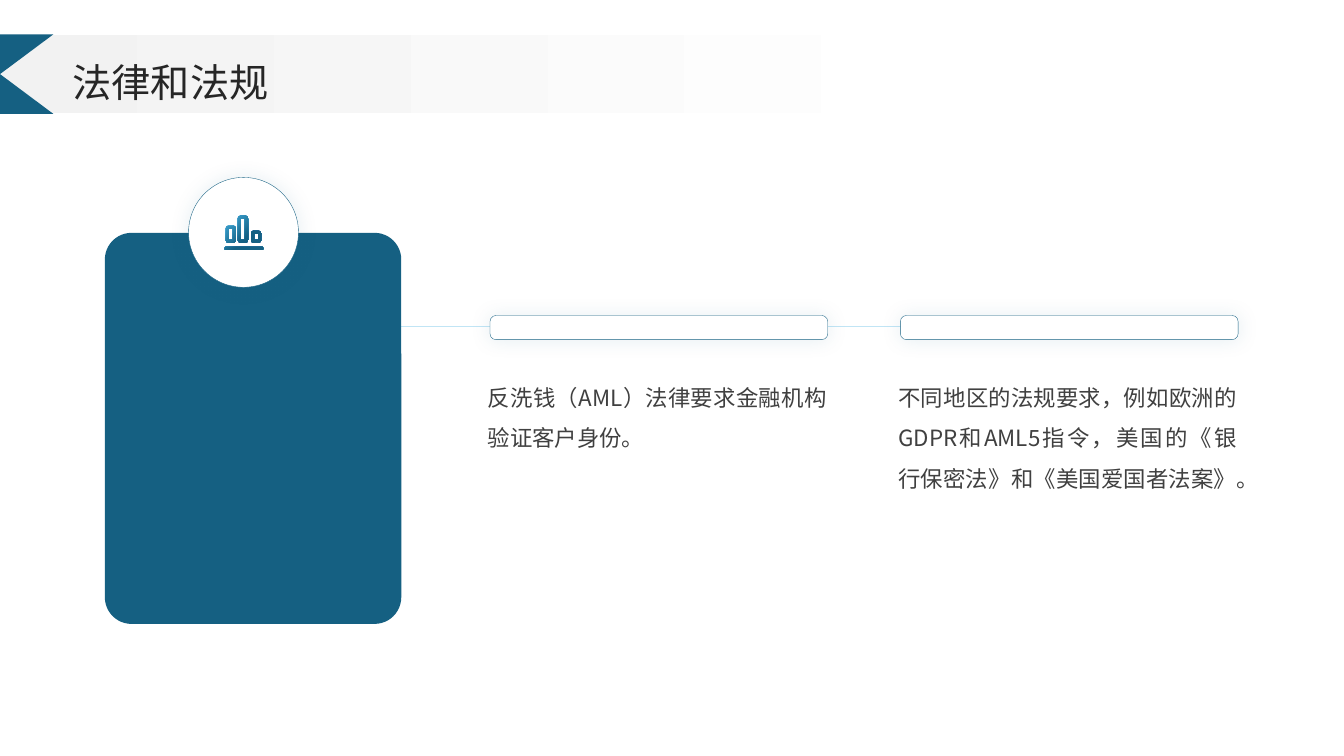
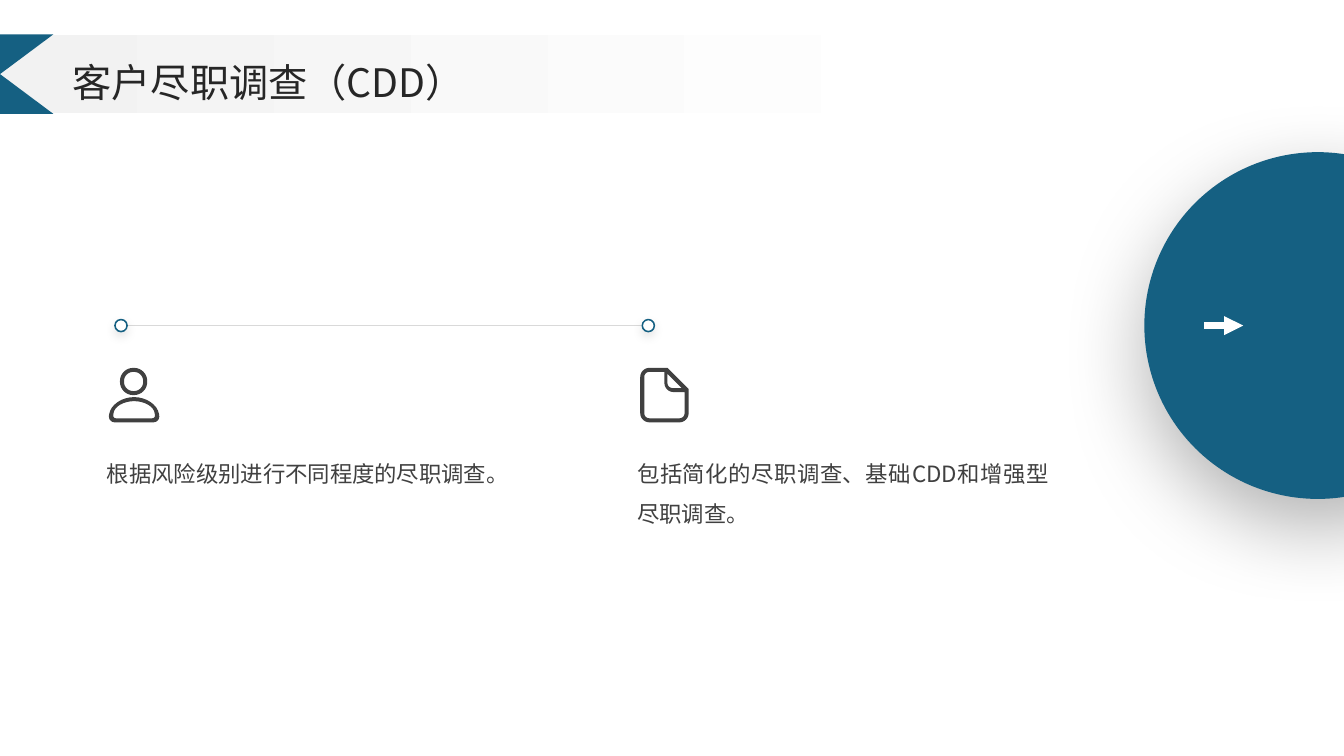
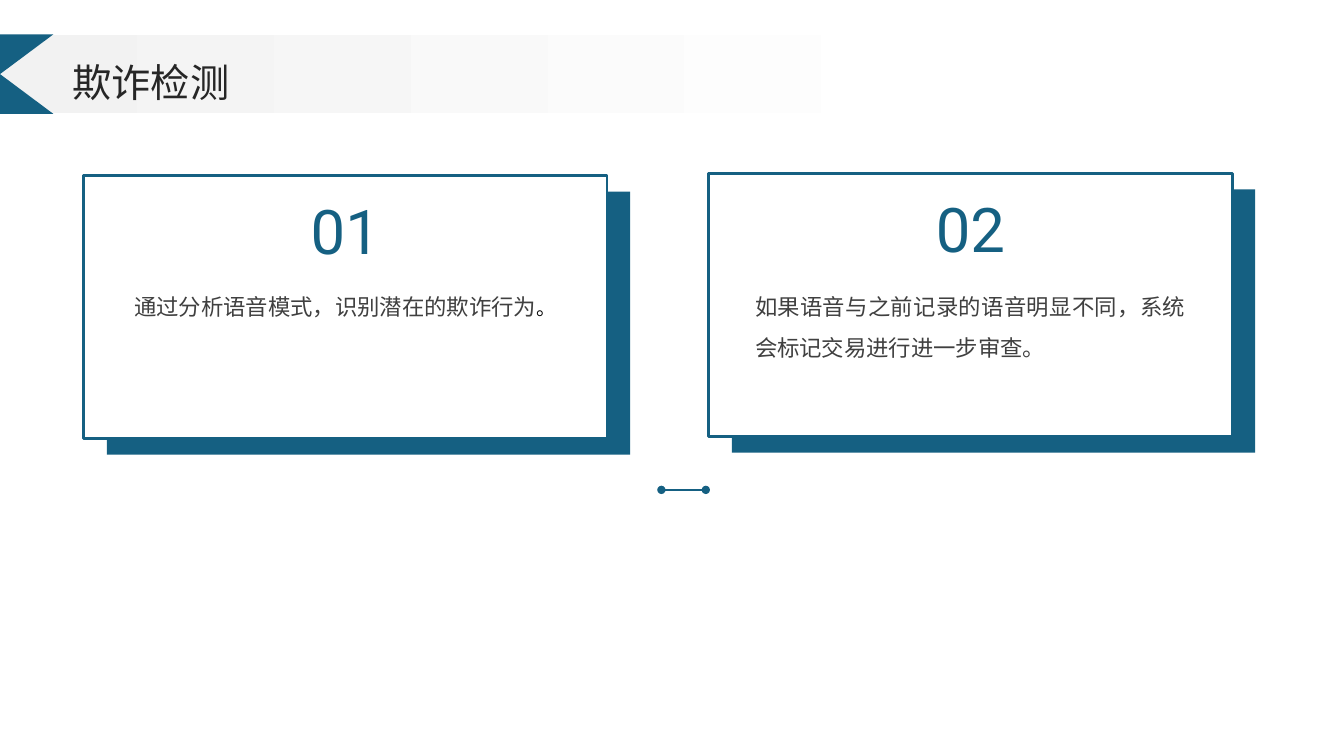
from dataclasses import dataclass
from typing import Any, NamedTuple, Optional

from lxml.etree import SubElement as Sub
from pptx import Presentation
from pptx.dml.color import RGBColor as Rgb
from pptx.enum.shapes import MSO_CONNECTOR as Link
from pptx.enum.shapes import MSO_SHAPE as Kind
from pptx.enum.text import MSO_ANCHOR as Anchor
from pptx.enum.text import PP_ALIGN as Align
from pptx.oxml.ns import qn
from pptx.slide import Slide
from pptx.util import Inches, Pt


@dataclass(frozen=True)
class Theme:
    blue: str = "156082"
    sky: str = "46B1E1"
    pale: str = "C1E5F5"
    white: str = "FFFFFF"
    black: str = "000000"
    mist: str = "F2F2F2"
    rule: str = "D9D9D9"
    ink: str = "262626"
    body: str = "404040"
    sans: str = "Noto Sans CJK SC"
    digit: str = "Roboto"
    head_size: int = 28
    mark_size: int = 44
    text_size: int = 16
    stop_size: int = 14


T = Theme()


class Box(NamedTuple):
    x: float
    y: float
    w: float
    h: float


class Shade(NamedTuple):
    color: str
    alpha: int
    blur: int
    dist: int
    angle: int


class Fade(NamedTuple):
    start: str
    end: str
    stop: float
    angle: int


class Edge(NamedTuple):
    color: str
    width: float


class Span(NamedTuple):
    text: str
    size: int = T.text_size
    color: str = T.body
    font: str = T.sans


class Corner(NamedTuple):
    x: float
    y: float
    back: float = 0
    ahead: Optional[float] = None


@dataclass(frozen=True)
class Column:
    x: float
    text: str
    width: float = 3.36


@dataclass(frozen=True)
class Card:
    x: float
    y: float
    mark: str
    spans: tuple[Span, ...]
    align: Align


GLOW = Shade(T.blue, 10, 15, 0, 0)
DEEP = Shade(T.black, 30, 60, 20, 90)
SOFT = Shade(T.black, 11, 7, 3, 90)
HAIR = Edge(T.blue, 0.25)


def apply(item: Any, values: dict[str, Any]) -> None:
    for name, value in values.items():
        setattr(item, name, value)


def paint(shape: Any, fill: str | Fade, edge: Optional[Edge] = None,
          shade: Optional[Shade] = None) -> None:
    shape.shadow.inherit = False
    if isinstance(fill, Fade):
        shape.fill.gradient()
        shape.fill.gradient_angle = -fill.angle % 360
        stops = zip(shape.fill.gradient_stops, (fill.start, fill.end), (0, fill.stop))
        for stop, color, place in stops:
            stop.color.rgb = Rgb.from_string(color)
            stop.position = place
    else:
        shape.fill.solid()
        shape.fill.fore_color.rgb = Rgb.from_string(fill)
    if edge:
        shape.line.color.rgb = Rgb.from_string(edge.color)
        shape.line.width = Pt(edge.width)
    else:
        shape.line.fill.background()
    if shade:
        glow = Sub(shape._element.spPr.find(qn("a:effectLst")), qn("a:outerShdw"),
                   blurRad=str(Pt(shade.blur)), dist=str(Pt(shade.dist)),
                   dir=str(shade.angle * 60000), algn="ctr", rotWithShape="0")
        tint = Sub(glow, qn("a:srgbClr"), val=shade.color)
        Sub(tint, qn("a:alpha"), val=str(shade.alpha * 1000))


def block(slide: Slide, kind: Kind, box: Box, fill: str | Fade,
          edge: Optional[Edge] = None, shade: Optional[Shade] = None,
          curve: Optional[float] = None) -> Any:
    shape = slide.shapes.add_shape(kind, *map(Inches, box))
    if curve is not None:
        shape.adjustments[0] = curve
    paint(shape, fill, edge, shade)
    return shape


def write(shape: Any, spans: tuple[Span, ...], align: Align = Align.JUSTIFY,
          space: float = 1.5, anchor: Anchor = Anchor.TOP,
          inset: tuple[float, ...] = (0, 0, 0, 0)) -> None:
    frame = shape.text_frame
    sides = ("margin_left", "margin_top", "margin_right", "margin_bottom")
    apply(frame, {"word_wrap": True, "vertical_anchor": anchor,
                  **dict(zip(sides, map(Inches, inset)))})
    para = frame.paragraphs[0]
    apply(para, {"alignment": align, "line_spacing": space})
    for span in spans:
        run = para.add_run()
        run.text = span.text
        apply(run.font, {"name": span.font, "size": Pt(span.size)})
        run.font.color.rgb = Rgb.from_string(span.color)
        Sub(run._r.get_or_add_rPr(), qn("a:ea"), typeface=span.font)


def label(slide: Slide, box: Box, *spans: Span, **style: Any) -> None:
    write(slide.shapes.add_textbox(*map(Inches, box)), spans, **style)


def link(slide: Slide, left: float, right: float, y: float, edge: Edge,
         head: str = "", tail: str = "") -> None:
    ends = map(Inches, (left, y, right, y))
    line = slide.shapes.add_connector(Link.STRAIGHT, *ends)
    line.line.color.rgb = Rgb.from_string(edge.color)
    line.line.width = Pt(edge.width)
    Sub(line._element.spPr, qn("a:effectLst"))
    for tag, kind in (("a:headEnd", head), ("a:tailEnd", tail)):
        if kind:
            Sub(line.line._get_or_add_ln(), qn(tag), type=kind)


def shift(start: Corner, goal: Corner, reach: float) -> tuple[float, float]:
    dx, dy = goal.x - start.x, goal.y - start.y
    part = reach / (dx * dx + dy * dy) ** 0.5
    return start.x + dx * part, start.y + dy * part


def smooth(loop: list[Corner], steps: int = 8) -> list[tuple[int, int]]:
    spots = []
    for i, tip in enumerate(loop):
        if not tip.back:
            spots.append((tip.x, tip.y))
            continue
        ahead = tip.back if tip.ahead is None else tip.ahead
        first = shift(tip, loop[i - 1], tip.back)
        last = shift(tip, loop[(i + 1) % len(loop)], ahead)
        pull = 0.55
        for step in range(steps + 1):
            t = step / steps
            u = 1 - t
            near = u ** 3 + 3 * u * u * t * (1 - pull)
            far = t ** 3 + 3 * u * t * t * (1 - pull)
            mid = 1 - near - far
            spots.append((near * first[0] + mid * tip.x + far * last[0],
                          near * first[1] + mid * tip.y + far * last[1]))
    return [(Inches(x), Inches(y)) for x, y in spots]


def pill(box: Box, reach: float) -> list[Corner]:
    x, y, w, h = box
    return [Corner(x, y, reach), Corner(x + w, y, reach),
            Corner(x + w, y + h, reach), Corner(x, y + h, reach)]


def ring(box: Box, reach: float, wall: float, inner: float) -> list[list[Corner]]:
    x, y, w, h = box
    core = Box(x + wall, y + wall, w - 2 * wall, h - 2 * wall)
    return [pill(box, reach), pill(core, inner)]


def icon(slide: Slide, loops: list[list[Corner]], fill: str | Fade) -> None:
    first, *rest = map(smooth, loops)
    pen = slide.shapes.build_freeform(*first[0])
    pen.add_line_segments(first[1:])
    for spots in rest:
        pen.move_to(*spots[0])
        pen.add_line_segments(spots[1:])
    paint(pen.convert_to_shape(), fill)


def chart_icon() -> list[list[Corner]]:
    loops = [pill(Box(2.23, 2.45, 0.38, 0.03), 0.01)]
    for x, y in ((2.24, 2.24), (2.36, 2.14), (2.49, 2.29)):
        loops += ring(Box(x, y, 0.1, 2.41 - y), 0.03, 0.03, 0)
    return loops


def person() -> list[list[Corner]]:
    trunk = [Corner(1.11, 3.94, 0.17, 0.22), Corner(1.55, 3.94, 0.22, 0.17),
             Corner(1.59, 4.19, 0.07), Corner(1.07, 4.19, 0.07)]
    core = [Corner(1.14, 3.98, 0.12, 0.19), Corner(1.52, 3.98, 0.19, 0.12),
            Corner(1.54, 4.15, 0.03), Corner(1.12, 4.15, 0.03)]
    return [*ring(Box(1.19, 3.65, 0.27, 0.27), 0.13, 0.04, 0.09), trunk, core]


def page() -> list[list[Corner]]:
    rim = [Corner(6.35, 3.65, 0.09), Corner(6.62, 3.65), Corner(6.83, 3.86),
           Corner(6.83, 4.19, 0.09), Corner(6.35, 4.19, 0.09)]
    core = [Corner(6.39, 3.69, 0.05), Corner(6.59, 3.69), Corner(6.59, 3.89, 0.09),
            Corner(6.79, 3.89), Corner(6.79, 4.15, 0.05), Corner(6.39, 4.15, 0.05)]
    fold = [Corner(6.62, 3.71), Corner(6.76, 3.85), Corner(6.62, 3.85, 0.05)]
    return [rim, core, fold]


def title(slide: Slide, text: str) -> None:
    block(slide, Kind.RECTANGLE, Box(0, 0.35, 11.88, 0.77),
          Fade(T.mist, T.white, 0.8, 0))
    block(slide, Kind.FLOWCHART_COLLATE, Box(-0.53, 0.34, 1.06, 0.79), T.blue)
    label(slide, Box(0.72, 0.53, 11.88, 0.51), Span(text, T.head_size, T.ink),
          align=Align.LEFT, space=1.1, anchor=Anchor.MIDDLE)


def laws(slide: Slide) -> None:
    cols = (Column(4.84, "反洗钱（AML）法律要求金融机构验证客户身份。"),
            Column(8.91, "不同地区的法规要求，例如欧洲的GDPR和AML5指令，"
                         "美国的《银行保密法》和《美国爱国者法案》。"))
    for left, right in ((3.94, 4.86), (8, 9.12)):
        link(slide, left, right, 3.24, Edge(T.pale, 1))
    for col in cols:
        block(slide, Kind.ROUNDED_RECTANGLE, Box(col.x + 0.02, 3.13, 3.35, 0.24),
              T.white, HAIR, GLOW, 0.25)
        label(slide, Box(col.x, 3.68, col.width, 1.17), Span(col.text))
    block(slide, Kind.ROUNDED_RECTANGLE, Box(1.04, 2.31, 2.94, 3.88), T.blue, curve=0.09)
    block(slide, Kind.OVAL, Box(1.87, 1.76, 1.09, 1.09), T.white, HAIR, GLOW)
    icon(slide, chart_icon(), Fade(T.sky, T.blue, 0.6, 45))
    title(slide, "法律和法规")


def checks(slide: Slide) -> None:
    cols = (Column(1.06, "根据风险级别进行不同程度的尽职调查。", 4.4),
            Column(6.32, "包括简化的尽职调查、基础CDD和增强型尽职调查。", 4.32))
    block(slide, Kind.OVAL, Box(11.35, 1.51, 3.44, 3.44), T.blue, shade=DEEP)
    link(slide, 11.94, 12.33, 3.23, Edge(T.white, 4.5), tail="triangle")
    link(slide, 1.22, 6.49, 3.23, Edge(T.rule, 0.82))
    for x in (1.14, 6.37):
        block(slide, Kind.OVAL, Box(x, 3.17, 0.12, 0.12), T.white,
              Edge(T.blue, 1.1), SOFT)
    for loops in (person(), page()):
        icon(slide, loops, T.body)
    for col in cols:
        label(slide, Box(col.x, 4.39, col.width, 1.81), Span(col.text),
              inset=(0, 0.04, 0.24, 0.04))
    title(slide, "客户尽职调查（CDD）")


def panel(slide: Slide, card: Card) -> None:
    wide, high, mark = 5.19, 2.61, 1.04
    pad = (0.1, 0.05, 0.1, 0.05)
    block(slide, Kind.RECTANGLE, Box(card.x + 0.23, card.y + 0.16, wide, high), T.blue)
    block(slide, Kind.ROUNDED_RECTANGLE, Box(card.x, card.y, wide, high), T.white,
          Edge(T.blue, 2), curve=0)
    spot = Box(card.x + (wide - mark) / 2, card.y + 0.12, mark, 0.84)
    write(block(slide, Kind.RECTANGLE, spot, T.white),
          (Span(card.mark, T.mark_size, T.blue, T.digit),),
          Align.CENTER, 1.1, Anchor.BOTTOM, pad)
    write(block(slide, Kind.RECTANGLE, Box(card.x + 0.36, 2.73, 4.47, 1.34), T.white),
          card.spans, card.align, inset=pad)


def fraud(slide: Slide) -> None:
    cards = (
        Card(0.83, 1.74, "01", (Span("通过分析语音模式，识别潜在的欺诈行为"),
                                Span("。", T.stop_size, T.black)), Align.CENTER),
        Card(7.03, 1.72, "02", (Span("如果语音与之前记录的语音明显不同，"
                                     "系统会标记交易进行进一步审查。"),), Align.JUSTIFY),
    )
    for card in cards:
        panel(slide, card)
    link(slide, 6.56, 7, 4.86, Edge(T.blue, 1), "oval", "oval")
    title(slide, "欺诈检测")


def main() -> None:
    deck = Presentation()
    apply(deck, {"slide_width": Inches(13.33), "slide_height": Inches(7.5)})
    for draw in (laws, checks, fraud):
        draw(deck.slides.add_slide(deck.slide_layouts[6]))
    deck.save("out.pptx")


if __name__ == "__main__":
    main()
